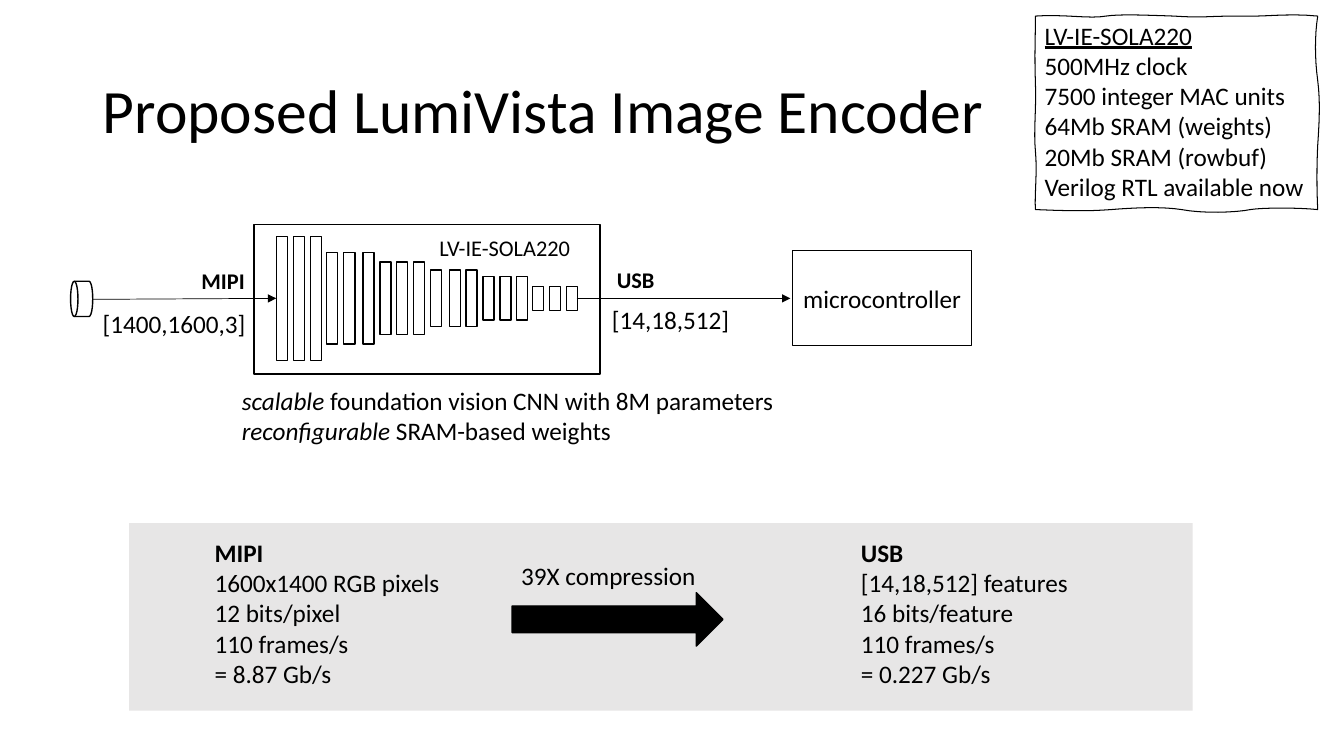
from lxml import etree
from pptx import Presentation
from pptx.dml.color import RGBColor
from pptx.enum.shapes import MSO_CONNECTOR, MSO_SHAPE
from pptx.enum.text import MSO_ANCHOR, MSO_AUTO_SIZE, PP_ALIGN
from pptx.oxml.ns import qn
from pptx.util import Inches, Pt

RECT = MSO_SHAPE.RECTANGLE
DRUM = MSO_SHAPE.FLOWCHART_DIRECT_ACCESS_STORAGE
RIGHT_ARROW = MSO_SHAPE.RIGHT_ARROW
STRAIGHT = MSO_CONNECTOR.STRAIGHT
TOP, MIDDLE = MSO_ANCHOR.TOP, MSO_ANCHOR.MIDDLE
LEFT, CENTER = PP_ALIGN.LEFT, PP_ALIGN.CENTER
FIT, FIXED = MSO_AUTO_SIZE.SHAPE_TO_FIT_TEXT, MSO_AUTO_SIZE.NONE

BLACK, WHITE, GRAY = "000000", "FFFFFF", "E7E6E6"
FONT = "Calibri"
CHIP = "LV-IE-SOLA220"
BAR_WIDTH, BAR_MIDDLE = 0.11, 2.96
CNN_STAGES = [
    (1.23, (2.74, 2.91, 3.08)),
    (0.91, (3.24, 3.41, 3.6)),
    (0.72, (3.77, 3.93, 4.1)),
    (0.56, (4.27, 4.46, 4.62)),
    (0.43, (4.79, 4.96, 5.12)),
    (0.24, (5.28, 5.45, 5.62)),
]
SKETCH_START = (10.27, 0.16)
SKETCH_CURVES = [
    ((10.54, 0.14), (10.82, 0.19), (10.97, 0.16)),
    ((11.11, 0.14), (11.34, 0.15), (11.64, 0.16)),
    ((11.94, 0.18), (11.96, 0.16), (12.26, 0.16)),
    ((12.55, 0.17), (12.77, 0.13), (13.07, 0.16)),
    ((13.04, 0.35), (13.04, 0.58), (13.07, 0.8)),
    ((13.1, 1.03), (13.08, 1.27), (13.07, 1.44)),
    ((13.06, 1.62), (13.06, 1.9), (13.07, 2.08)),
    ((12.87, 2.06), (12.53, 2.06), (12.4, 2.08)),
    ((12.26, 2.11), (11.92, 2.12), (11.72, 2.08)),
    ((11.53, 2.05), (11.27, 2.06), (11.02, 2.08)),
    ((10.77, 2.1), (10.52, 2.09), (10.27, 2.08)),
    ((10.26, 1.92), (10.29, 1.72), (10.27, 1.5)),
    ((10.25, 1.29), (10.28, 1.1), (10.27, 0.82)),
    ((10.26, 0.55), (10.27, 0.36), (10.27, 0.16)),
]


def rgb(color):
    return RGBColor.from_string(color)


def add_run(p, text, size=18, bold=False, italic=False, underline=False):
    r = p.add_run()
    r.text = text
    font = r.font
    font.name, font.size = FONT, Pt(size)
    font.bold, font.italic, font.underline = bold, italic, underline
    font.color.rgb = rgb(BLACK)


def write(s, lines, size=18, anchor=TOP, align=LEFT, wrap=False, auto_size=FIT):
    tf = s.text_frame
    tf.word_wrap, tf.auto_size, tf.vertical_anchor = wrap, auto_size, anchor
    for i, line in enumerate(lines):
        p = tf.add_paragraph() if i else tf.paragraphs[0]
        p.alignment = align
        for text, style in line:
            add_run(p, text, size, **style)


def plain(*texts):
    return [[(text, {})] for text in texts]


def headed(heading, *texts, **style):
    return [[(heading, style)]] + plain(*texts)


def add_text(slide, box, lines, size=18):
    s = slide.shapes.add_textbox(*map(Inches, box))
    write(s, lines, size)


def paint(s, fill=None, line=None, width=1):
    s.shadow.inherit = False
    if fill:
        s.fill.solid()
        s.fill.fore_color.rgb = rgb(fill)
    else:
        s.fill.background()
    if line:
        s.line.color.rgb = rgb(line)
        s.line.width = Pt(width)
    else:
        s.line.fill.background()


def add_shape(slide, kind, box, fill=None, line=None, width=1):
    s = slide.shapes.add_shape(kind, *map(Inches, box))
    paint(s, fill, line, width)
    return s


def add_arrow(slide, start, end):
    s = slide.shapes.add_connector(STRAIGHT, *map(Inches, start + end))
    s.line.color.rgb = rgb(BLACK)
    s.line.width = Pt(0.5)
    etree.SubElement(s.line._get_or_add_ln(), qn("a:tailEnd"), type="triangle")
    etree.SubElement(s._element.spPr, qn("a:effectLst"))


def curve_points(start, curves, steps=8):
    points = []
    for c1, c2, end in curves:
        for n in range(1, steps + 1):
            t = n / steps
            u = 1 - t
            points.append(tuple(
                Inches(u**3 * a + 3 * u * u * t * b + 3 * u * t * t * c + t**3 * d)
                for a, b, c, d in zip(start, c1, c2, end)))
        start = end
    return points


def add_sketch_box(slide, lines):
    builder = slide.shapes.build_freeform(*map(Inches, SKETCH_START))
    builder.add_line_segments(curve_points(SKETCH_START, SKETCH_CURVES))
    s = builder.convert_to_shape()
    paint(s, line=BLACK, width=0.75)
    write(s, lines)


def add_title(slide, text):
    s = slide.shapes.title
    s.left, s.top, s.width, s.height = map(Inches, (0.92, 0.4, 11.5, 1.45))
    write(s, plain(text), 44, MIDDLE, wrap=True, auto_size=FIXED)
    s.text_frame.paragraphs[0].line_spacing = 0.9


def add_encoder(slide):
    for height, lefts in CNN_STAGES:
        for left in lefts:
            box = (left, BAR_MIDDLE - height / 2, BAR_WIDTH, height)
            add_shape(slide, RECT, box, WHITE, BLACK)
    add_shape(slide, RECT, (2.52, 2.23, 3.43, 1.48), line=BLACK)
    add_text(slide, (4.26, 2.27, 1.62, 0.37), plain(CHIP), 16)


def add_pipeline(slide):
    camera = add_shape(slide, DRUM, (0.7, 2.79, 0.22, 0.35), WHITE, BLACK)
    camera._element.spPr.find(qn("a:xfrm")).set("flipH", "1")
    add_text(slide, (1.9, 2.6, 0.64, 0.37), headed("MIPI", bold=True), 16)
    add_text(slide, (0.92, 3.01, 1.63, 0.4), plain("[1400,1600,3]"))
    add_text(slide, (6.02, 2.59, 0.58, 0.37), headed("USB", bold=True), 16)
    add_text(slide, (5.97, 2.97, 1.38, 0.4), plain("[14,18,512]"))
    mcu = add_shape(slide, RECT, (7.86, 2.49, 1.78, 0.94), line=BLACK, width=0.75)
    write(mcu, plain("microcontroller"), anchor=MIDDLE, align=CENTER, auto_size=FIXED)
    add_encoder(slide)
    add_arrow(slide, (0.92, 2.97), (2.74, 2.96))
    add_arrow(slide, (5.72, 2.96), (7.84, 2.96))
    add_text(slide, (2.3, 3.77, 5.54, 0.71), [
        [("scalable", {"italic": True}),
         (" foundation vision CNN with 8M parameters", {})],
        [("reconfigurable", {"italic": True}), (" SRAM-based weights", {})],
    ])


def add_compression(slide):
    add_shape(slide, RECT, (1.28, 5.19, 10.55, 1.86), GRAY)
    add_text(slide, (2.03, 5.28, 2.46, 1.62), headed(
        "MIPI", "1600x1400 RGB pixels", "12 bits/pixel", "110 frames/s",
        "= 8.87 Gb/s", bold=True))
    add_text(slide, (8.44, 5.28, 2.28, 1.62), headed(
        "USB", "[14,18,512] features", "16 bits/feature", "110 frames/s",
        "= 0.227 Gb/s", bold=True))
    add_shape(slide, RIGHT_ARROW, (5.08, 5.88, 2.09, 0.53), BLACK, BLACK)
    add_text(slide, (5.07, 5.51, 1.95, 0.4), plain("39X compression"))


def main():
    prs = Presentation()
    prs.slide_width, prs.slide_height = Inches(13.33), Inches(7.5)
    slide = prs.slides.add_slide(prs.slide_layouts[5])
    add_title(slide, "Proposed LumiVista Image Encoder")
    add_compression(slide)
    add_pipeline(slide)
    add_sketch_box(slide, headed(
        CHIP, "500MHz clock", "7500 integer MAC units", "64Mb SRAM (weights)",
        "20Mb SRAM (rowbuf)", "Verilog RTL available now", underline=True))
    prs.save("out.pptx")


if __name__ == "__main__":
    main()
